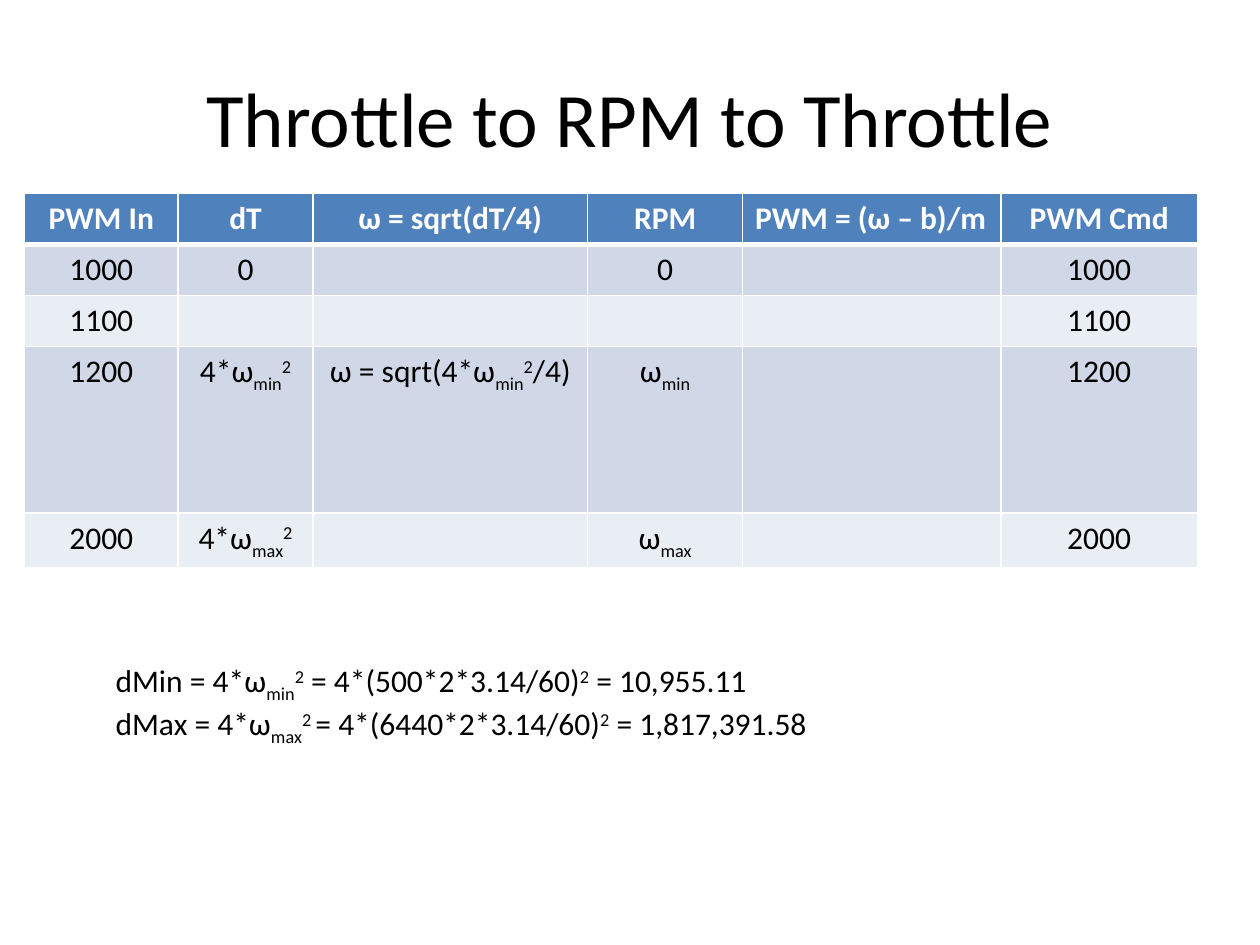
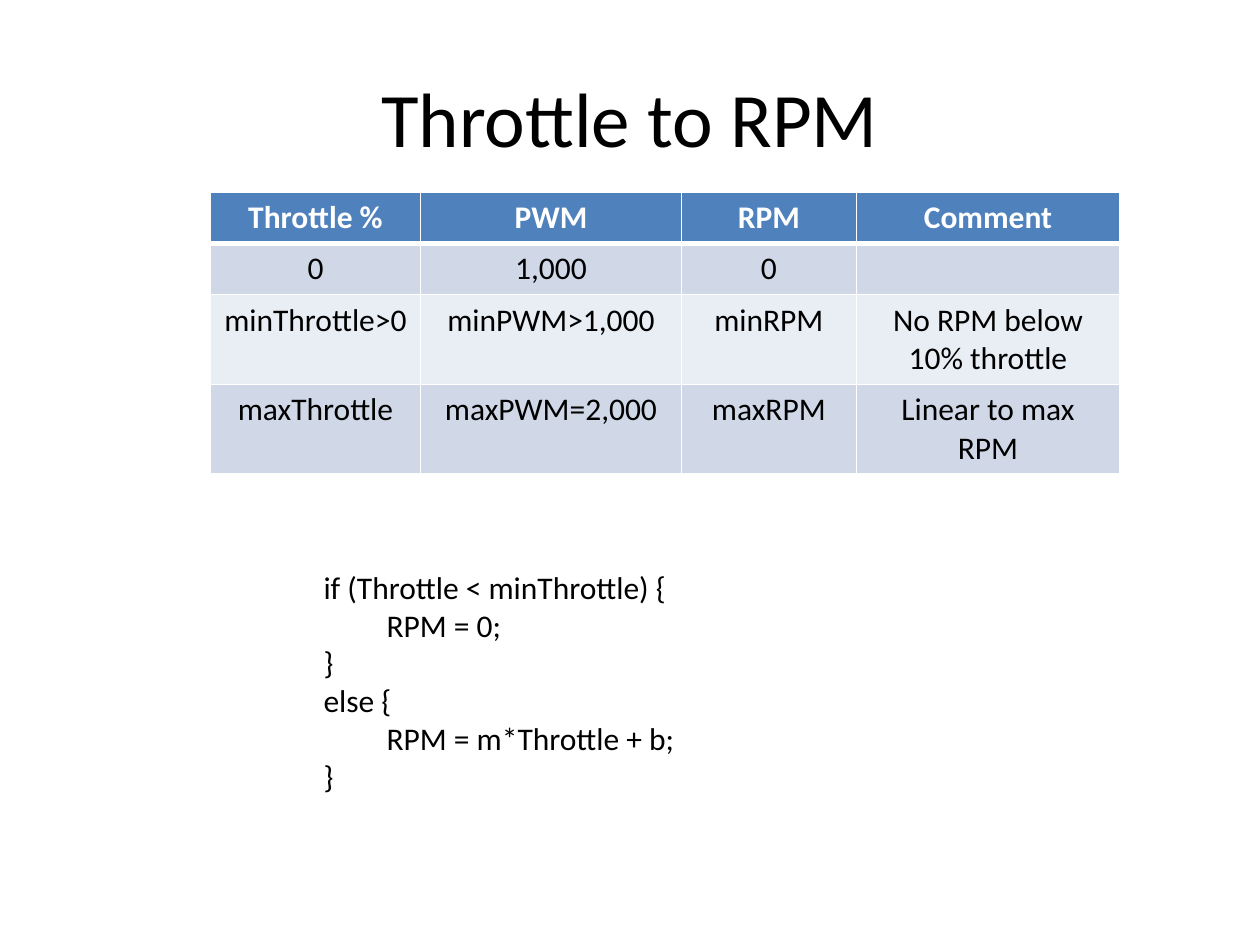
from lxml import etree
from pptx import Presentation
from pptx.dml.color import RGBColor
from pptx.enum.text import MSO_ANCHOR, MSO_AUTO_SIZE, PP_ALIGN
from pptx.oxml.ns import qn
from pptx.util import Pt

CENTER, LEFT = PP_ALIGN.CENTER, PP_ALIGN.LEFT
MIDDLE = MSO_ANCHOR.MIDDLE
GROW = MSO_AUTO_SIZE.SHAPE_TO_FIT_TEXT
TITLE_ONLY = 5
COLORS = {"text": "000000", "header_text": "FFFFFF", "header": "4F81BD",
          "odd_row": "D0D8E8", "even_row": "E9EDF4", "border": "FFFFFF"}
TITLE_FORMAT = {"name": "Calibri", "size": Pt(44), "bold": False}
TEXT_FORMAT = {"name": "Calibri", "size": Pt(18), "bold": False}
HEADER_FORMAT = TEXT_FORMAT | {"bold": True}
BASELINES = {"_": "-25000", "^": "30000"}
TITLE_BOX = (36, 21.6, 648, 90)
ROW_HEIGHT = 29.2

THROTTLE_ROWS = [
    ["PWM In", "dT", "ω = sqrt(dT/4)", "RPM", "PWM = (ω – b)/m", "PWM Cmd"],
    ["1000", "0", "", "0", "", "1000"],
    ["1100", "", "", "", "", "1100"],
    ["1200", "4*ω|_min|^2", "ω = sqrt(4*ω|_min|^2|/4)", "ω|_min", "", "1200"],
    ["2000", "4*ω|_max|^2", "", "ω|_max", "", "2000"],
]
LIMITS = [
    "dMin = 4*ω|_min|^2| = 4*(500*2*3.14/60)|^2| = 10,955.11",
    "dMax = 4*ω|_max|^2 |= 4*(6440*2*3.14/60)|^2| = 1,817,391.58",
]
RPM_ROWS = [
    ["Throttle %", "PWM", "RPM", "Comment"],
    ["0", "1,000", "0", ""],
    ["minThrottle>0", "minPWM>1,000", "minRPM", "No RPM below 10% throttle"],
    ["maxThrottle", "maxPWM=2,000", "maxRPM", "Linear to max RPM"],
]
RPM_CODE = [
    "if (Throttle < minThrottle) {",
    "\tRPM = 0;",
    "}",
    "else {",
    "\tRPM = m*Throttle + b;",
    "}",
]


def write(p, text, font_format, color="text", align=LEFT):
    """Fill a paragraph; "|" parts the runs, a leading _ lowers and ^ raises one."""
    p.alignment = align
    for part in text.split("|") if text else []:
        baseline = BASELINES.get(part[0])
        r = p.add_run()
        r.text = part[1:] if baseline else part
        for name, value in font_format.items():
            setattr(r.font, name, value)
        r.font.color.rgb = RGBColor.from_string(COLORS[color])
        if baseline:
            r.font._element.set("baseline", baseline)


def add_titled_slide(prs, title):
    slide = prs.slides.add_slide(prs.slide_layouts[TITLE_ONLY])
    sp = slide.shapes.title
    sp.left, sp.top, sp.width, sp.height = map(Pt, TITLE_BOX)
    sp.text_frame.vertical_anchor = MIDDLE
    write(sp.text_frame.paragraphs[0], title, TITLE_FORMAT, align=CENTER)
    return slide


def set_borders(cell, top, bottom):
    tc_pr = cell._tc.get_or_add_tcPr()
    for side, width in {"L": 1, "R": 1, "T": top, "B": bottom}.items():
        line = etree.SubElement(tc_pr, qn(f"a:ln{side}"), w=str(Pt(width)))
        fill = etree.SubElement(line, qn("a:solidFill"))
        etree.SubElement(fill, qn("a:srgbClr"), val=COLORS["border"])


def add_banded_table(slide, left, top, widths, heights, rows, left_aligned=()):
    table = slide.shapes.add_table(len(rows), len(widths), Pt(left), Pt(top),
                                   Pt(sum(widths)), Pt(sum(heights))).table
    for column, width in zip(table.columns, widths):
        column.width = Pt(width)
    for i, (row, height) in enumerate(zip(rows, heights)):
        table.rows[i].height = Pt(height)
        header = i == 0
        band = "header" if header else "odd_row" if i % 2 else "even_row"
        for j, text in enumerate(row):
            cell = table.cell(i, j)
            set_borders(cell, top=3 if i == 1 else 1, bottom=3 if header else 1)
            cell.fill.solid()
            cell.fill.fore_color.rgb = RGBColor.from_string(COLORS[band])
            write(cell.text_frame.paragraphs[0], text,
                  HEADER_FORMAT if header else TEXT_FORMAT,
                  "header_text" if header else "text",
                  LEFT if text in left_aligned else CENTER)


def add_lines(slide, box, lines, wrap):
    tf = slide.shapes.add_textbox(*map(Pt, box)).text_frame
    tf.word_wrap = wrap
    tf.auto_size = GROW
    for i, line in enumerate(lines):
        p = tf.add_paragraph() if i else tf.paragraphs[0]
        write(p, line, TEXT_FORMAT)


def main():
    prs = Presentation()
    prs.slide_width, prs.slide_height = Pt(720), Pt(540)

    slide = add_titled_slide(prs, "Throttle to RPM to Throttle")
    add_banded_table(slide, 14, 110.5, [87.8, 77, 157, 88.6, 147.6, 112.3],
                     [ROW_HEIGHT] * 3 + [95, ROW_HEIGHT], THROTTLE_ROWS,
                     left_aligned=["PWM = (ω – b)/m"])
    add_lines(slide, (59, 374.4, 419.8, 51), LIMITS, wrap=False)

    slide = add_titled_slide(prs, "Throttle to RPM")
    add_banded_table(slide, 120.2, 110, [120.2, 149, 100, 150.5],
                     [ROW_HEIGHT] * len(RPM_ROWS), RPM_ROWS)
    add_lines(slide, (177.8, 321, 375.8, 138), RPM_CODE, wrap=True)

    prs.save("out.pptx")


if __name__ == "__main__":
    main()
